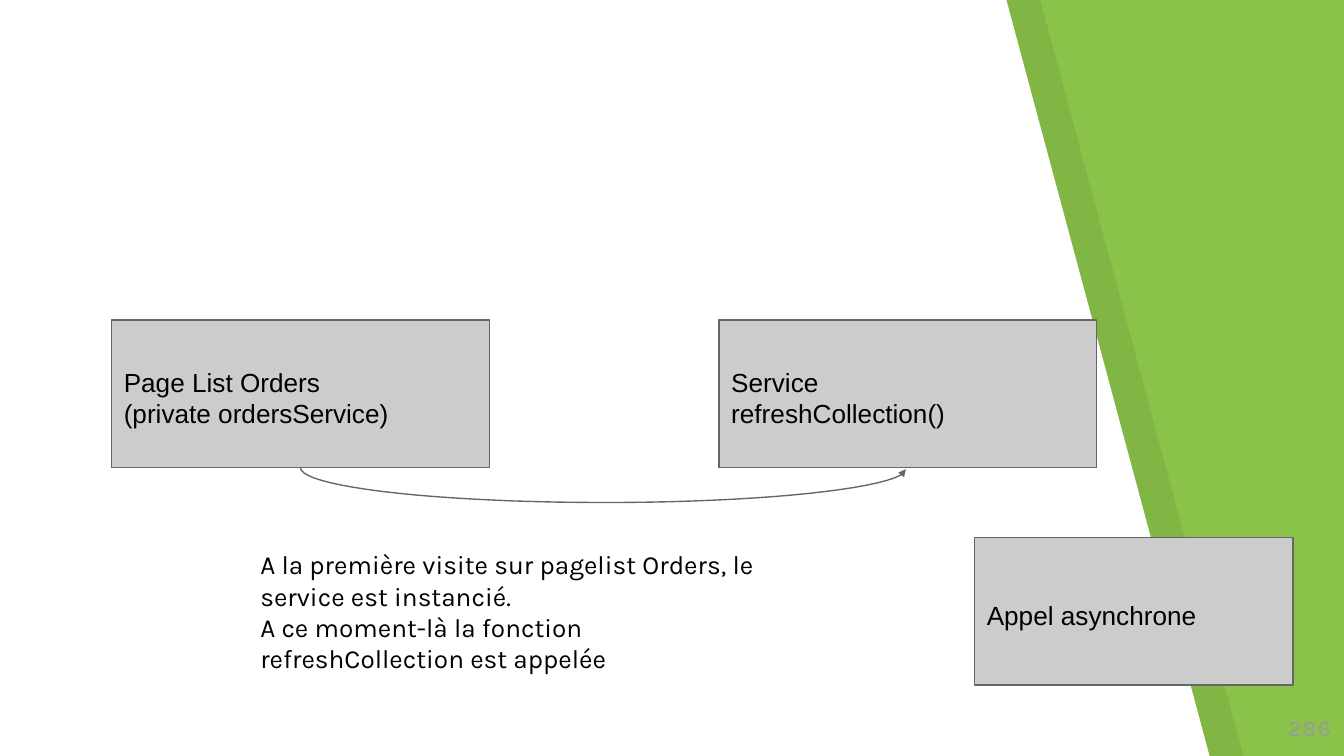
import math

from lxml import etree
from pptx import Presentation
from pptx.dml.color import RGBColor
from pptx.enum import text
from pptx.oxml import ns
from pptx.util import Cm, Pt

GREEN = RGBColor(0x8B, 0xC3, 0x4A)
WHITE = RGBColor(0xFF, 0xFF, 0xFF)
BLACK = RGBColor(0x00, 0x00, 0x00)
BOX_GREY = RGBColor(0xCC, 0xCC, 0xCC)
LINE_GREY = RGBColor(0x66, 0x66, 0x66)
NUMBER_GREY = RGBColor(0x99, 0x99, 0x99)

SLIDE_WIDTH, SLIDE_HEIGHT = 25.4, 14.29
BOX_HEIGHT = 2.79


def add_outline(slide, points, close):
    """Draw a freeform through points given in centimetres."""
    corners = [(Cm(x), Cm(y)) for x, y in points]
    builder = slide.shapes.build_freeform(*corners[0])
    builder.add_line_segments(corners[1:], close=close)
    shape = builder.convert_to_shape()
    shape.shadow.inherit = False
    return shape


def add_slanted_panel(slide, left, color, opacity=100):
    """Draw a full-height panel whose right edge slants outwards."""
    points = [(left, 0), (left + 19.02, 0),
              (left + 22.86, SLIDE_HEIGHT), (left, SLIDE_HEIGHT)]
    panel = add_outline(slide, points, close=True)
    panel.fill.solid()
    panel.fill.fore_color.rgb = color
    panel.line.fill.background()
    if opacity < 100:
        fill_color = panel.fill._xPr.find(".//" + ns.qn("a:srgbClr"))
        alpha = etree.SubElement(fill_color, ns.qn("a:alpha"))
        alpha.set("val", str(opacity * 1000))


def add_background(slide):
    slide.background.fill.solid()
    slide.background.fill.fore_color.rgb = GREEN
    add_slanted_panel(slide, 0.64, BLACK, opacity=7)
    add_slanted_panel(slide, 0, WHITE)


def add_box(slide, left, top, width, label):
    box = slide.shapes.add_shape(1, Cm(left), Cm(top), Cm(width), Cm(BOX_HEIGHT))
    box.shadow.inherit = False
    box.fill.solid()
    box.fill.fore_color.rgb = BOX_GREY
    box.line.color.rgb = LINE_GREY
    box.line.width = Pt(0.75)
    frame = box.text_frame
    frame.margin_left, frame.margin_top = Cm(0.23), Cm(0.14)
    frame.margin_right = frame.margin_bottom = 0
    frame.vertical_anchor = text.MSO_ANCHOR.MIDDLE
    frame.text = label
    paragraph = frame.paragraphs[0]
    paragraph.alignment = text.PP_ALIGN.LEFT
    paragraph.line_spacing = Pt(16.5)
    paragraph.font.name = "Arial"
    paragraph.font.size = Pt(14)
    paragraph.font.color.rgb = BLACK
    return box


def add_call_arrow(slide, source, target, depth=0.66, steps=40):
    """Draw a half ellipse below two boxes, from one bottom middle to the other."""
    start = (source.left + source.width / 2) / Cm(1)
    end = (target.left + target.width / 2) / Cm(1)
    top = (source.top + source.height) / Cm(1)
    radius = (end - start) / 2
    angles = [math.pi * 0.95 * step / steps for step in range(steps + 1)]
    points = [(start + radius * (1 - math.cos(angle)), top + depth * math.sin(angle))
              for angle in angles]
    points.append((end - 0.04, top + 0.03))
    arrow = add_outline(slide, points, close=False)
    arrow.fill.background()
    arrow.line.color.rgb = LINE_GREY
    arrow.line.width = Pt(0.75)
    head = etree.SubElement(arrow.line._get_or_add_ln(), ns.qn("a:tailEnd"))
    for name, value in (("type", "triangle"), ("w", "sm"), ("len", "sm")):
        head.set(name, value)


def add_text(slide, left, top, width, height, lines, size, color):
    box = slide.shapes.add_textbox(Cm(left), Cm(top), Cm(width), Cm(height))
    frame = box.text_frame
    frame.word_wrap = True
    frame.margin_left = frame.margin_top = Cm(0.04)
    frame.margin_right = frame.margin_bottom = 0
    frame.text = "\n".join(lines)
    for paragraph in frame.paragraphs:
        paragraph.font.name = "Karla"
        paragraph.font.size = Pt(size)
        paragraph.font.color.rgb = color
    return frame


def add_page_number(slide, number):
    frame = add_text(slide, 23.1, 13.45, 2.05, 0.6, [number], 12, NUMBER_GREY)
    paragraph = frame.paragraphs[0]
    paragraph.alignment = text.PP_ALIGN.RIGHT
    paragraph.runs[0]._r.get_or_add_rPr().set("spc", "80")


def add_call_diagram(slide, left, top):
    page = add_box(slide, left, top, 7.14,
                   "Page List Orders\v(private ordersService)")
    service = add_box(slide, left + 11.48, top, 7.14,
                      "Service\vrefreshCollection()")
    add_call_arrow(slide, page, service)
    add_text(slide, left + 2.77, top + 4.28, 10.11, 2.44, [
        "A la première visite sur pagelist Orders, le service est instancié.",
        "A ce moment-là la fonction refreshCollection est appelée",
    ], 14, BLACK)
    add_box(slide, left + 16.31, top + 4.11, 6.02, "Appel asynchrone")


def main():
    presentation = Presentation()
    presentation.slide_width = Cm(SLIDE_WIDTH)
    presentation.slide_height = Cm(SLIDE_HEIGHT)
    slide = presentation.slides.add_slide(presentation.slide_layouts[6])
    add_background(slide)
    add_call_diagram(slide, 2.11, 6.05)
    add_page_number(slide, "286")
    presentation.save("out.pptx")


if __name__ == "__main__":
    main()
